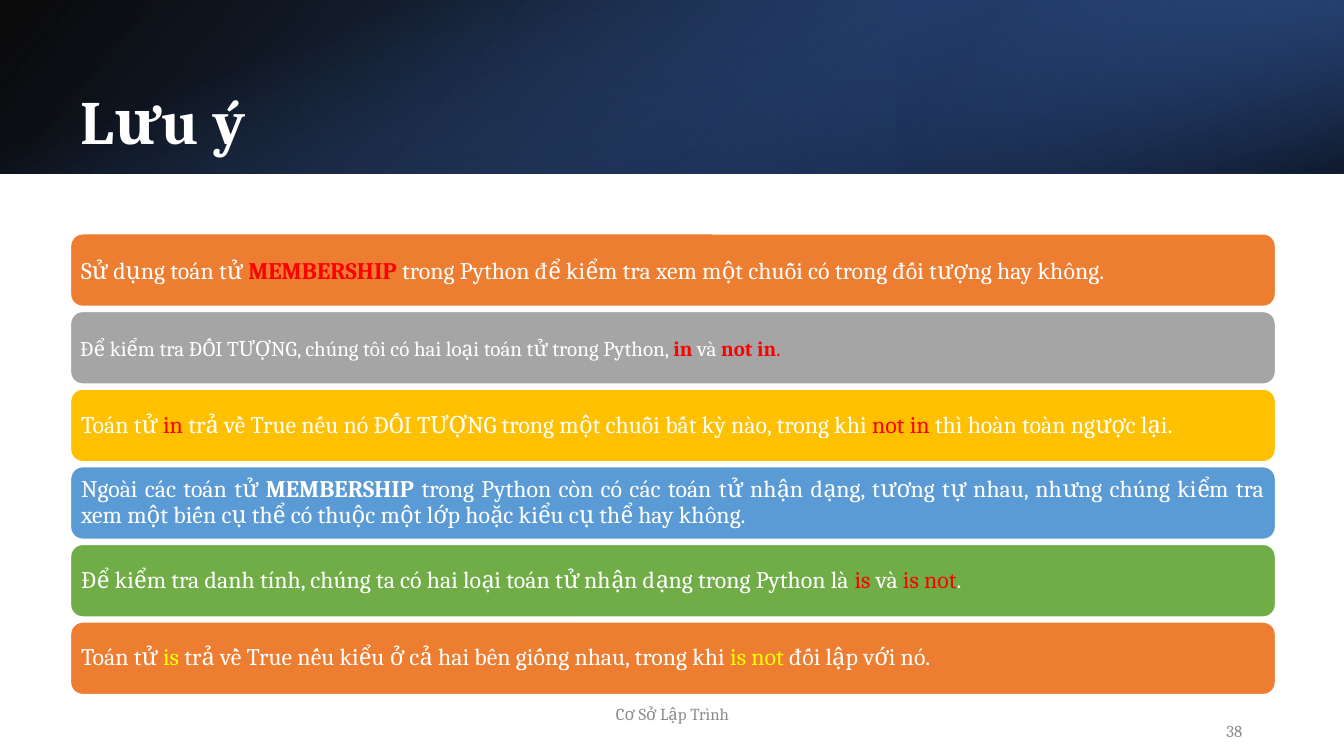
from dataclasses import dataclass
from typing import Any, NamedTuple

from lxml import etree
from pptx import Presentation
from pptx import util as u
from pptx.dml.color import RGBColor
from pptx.enum import shapes, text
from pptx.oxml import parse_xml
from pptx.oxml.ns import nsdecls, qn

WHITE = RGBColor(0xFF, 0xFF, 0xFF)
BLACK = RGBColor(0, 0, 0)
RED = RGBColor(0xFF, 0, 0)
LEMON = RGBColor(0xFF, 0xFF, 0)
MUTED = RGBColor(0x8C, 0x8C, 0x8C)
ORANGE = RGBColor(0xED, 0x7D, 0x31)
GRAY = RGBColor(0xA5, 0xA5, 0xA5)
GOLD = RGBColor(0xFF, 0xC0, 0)
SKY = RGBColor(0x5B, 0x9B, 0xD5)
GREEN = RGBColor(0x70, 0xAD, 0x47)
BLUE = RGBColor(0x44, 0x72, 0xC4)
NAVY = RGBColor(0x20, 0x38, 0x64)
STEEL = RGBColor(0x2F, 0x55, 0x97)

FONT = "Cambria"
WIDE, HIGH = u.Inches(13.33), u.Inches(7.5)

# Shares of the slide, in percent
LEFT, SPAN = 5.25, 89.65
TOP, STEP, TALL = 30.93, 10.27, 9.6
HEAD = 22.93


class Run(NamedTuple):
    words: str
    color: RGBColor = WHITE
    bold: bool = False


class Stop(NamedTuple):
    pos: int
    color: RGBColor
    alpha: int


@dataclass
class Band:
    left: float
    width: float
    stops: list[Stop]
    angle: int
    turn: int = 0
    flip: bool = False


@dataclass
class Card:
    fill: RGBColor
    runs: list[Run]
    size: int = 17
    inset: float = 0.07
    lines: float = 0.9


BANDS = [
    Band(0, 100, [Stop(0, BLACK, 96), Stop(100, STEEL, 100)], 140, flip=True),
    Band(66.67, 33.33, [Stop(19, NAVY, 68), Stop(100, BLUE, 79)], 320, 180, True),
    Band(0, 100, [Stop(23, BLUE, 0), Stop(99, BLACK, 74)], 340, 90),
]

CARDS = [
    Card(ORANGE, [
        Run("Sử dụng toán tử "), Run("MEMBERSHIP", RED, True),
        Run(" trong Python để kiểm tra xem một chuỗi có trong đối tượng hay không."),
    ], lines=1.0),
    Card(GRAY, [
        Run("Để kiểm tra ĐỐI TƯỢNG, chúng tôi có hai loại toán tử trong Python, "),
        Run("in", RED, True), Run(" và "), Run("not in", RED, True), Run(".", RED),
    ], size=15, inset=0.06, lines=1.0),
    Card(GOLD, [
        Run("Toán tử "), Run("in ", RED),
        Run("trả về True nếu nó ĐỐI TƯỢNG trong một chuỗi bất kỳ nào, trong khi "),
        Run("not in ", RED), Run("thì hoàn toàn ngược lại."),
    ]),
    Card(SKY, [
        Run("Ngoài các toán tử "), Run("MEMBERSHIP", bold=True),
        Run(" trong Python còn có các toán tử nhận dạng, tương tự nhau, nhưng chúng "
            "kiểm tra xem một biến cụ thể có thuộc một lớp hoặc kiểu cụ thể hay không."),
    ]),
    Card(GREEN, [
        Run("Để kiểm tra danh tính, chúng ta có hai loại toán tử nhận dạng trong Python là "),
        Run("is", RED), Run(" và "), Run("is not", RED), Run("."),
    ]),
    Card(ORANGE, [
        Run("Toán tử "), Run("is", LEMON),
        Run(" trả về True nếu kiểu ở cả hai bên giống nhau, trong khi "),
        Run("is not ", LEMON), Run("đối lập với nó."),
    ]),
]


def place(x: float, y: float, w: float, h: float) -> tuple[int, int, int, int]:
    """Turn percent shares into slide lengths."""
    return (round(WIDE * x / 100), round(HIGH * y / 100),
            round(WIDE * w / 100), round(HIGH * h / 100))


def write(shape: Any, runs: list[Run], *, size: int, align: Any,
          anchor: Any = text.MSO_ANCHOR.MIDDLE, lines: float = 1.0,
          inset: float | None = None) -> None:
    frame = shape.text_frame
    frame.word_wrap = True
    frame.vertical_anchor = anchor
    if inset is not None:
        frame.margin_left = frame.margin_right = u.Inches(inset)
        frame.margin_top = frame.margin_bottom = u.Inches(inset)
    para = frame.paragraphs[0]
    para.alignment, para.line_spacing = align, lines
    for item in runs:
        run = para.add_run()
        run.text = item.words
        font = run.font
        font.name, font.size, font.bold = FONT, u.Pt(size), item.bold
        font.color.rgb = item.color


def shade(shape: Any, stops: list[Stop], angle: int) -> None:
    """Fill a shape with a gradient that has see-through stops."""
    grad = parse_xml(f'<a:gradFill {nsdecls("a")} rotWithShape="1"><a:gsLst/>'
                     f'<a:lin ang="{angle * 60000}" scaled="0"/></a:gradFill>')
    for stop in stops:
        mark = etree.SubElement(grad[0], qn("a:gs"), pos=str(stop.pos * 1000))
        tint = etree.SubElement(mark, qn("a:srgbClr"), val=str(stop.color))
        etree.SubElement(tint, qn("a:alpha"), val=str(stop.alpha * 1000))
    shape.fill.background()
    props = shape._element.spPr
    props.replace(props.find(qn("a:noFill")), grad)


def draw_band(slide: Any, band: Band) -> None:
    x, y, w, h = place(band.left, 0, band.width, HEAD)
    if band.turn == 90:
        x, y, w, h = x + (w - h) // 2, y + (h - w) // 2, h, w
    shape = slide.shapes.add_shape(shapes.MSO_SHAPE.RECTANGLE, x, y, w, h)
    shape.shadow.inherit = False
    shape.line.fill.background()
    shape.rotation = band.turn
    if band.flip:
        shape._element.spPr.xfrm.set("flipH", "1")
    shade(shape, band.stops, band.angle)


def draw_card(slide: Any, card: Card, row: int) -> None:
    shape = slide.shapes.add_shape(shapes.MSO_SHAPE.ROUNDED_RECTANGLE,
                                   *place(LEFT, TOP + row * STEP, SPAN, TALL))
    shape.shadow.inherit = False
    shape.fill.solid()
    shape.fill.fore_color.rgb = card.fill
    shape.line.color.rgb = WHITE
    shape.line.width = u.Pt(1)
    write(shape, card.runs, size=card.size, align=text.PP_ALIGN.JUSTIFY,
          lines=card.lines, inset=card.inset)


def main() -> None:
    deck = Presentation()
    deck.slide_width, deck.slide_height = WIDE, HIGH
    slide = deck.slides.add_slide(deck.slide_layouts[5])

    # Header
    for band in BANDS:
        draw_band(slide, band)

    # Title, raised above the header bands
    title = slide.shapes.title
    title.left, title.top, title.width, title.height = place(LEFT, 11.47, 49.96, HEAD - 12.66)
    write(title, [Run("Lưu ý", bold=True)], size=44, align=text.PP_ALIGN.LEFT,
          anchor=text.MSO_ANCHOR.TOP, lines=0.9)
    title.text_frame.auto_size = text.MSO_AUTO_SIZE.SHAPE_TO_FIT_TEXT
    slide.shapes._spTree.append(title._element)

    # Notes
    for row, card in enumerate(CARDS):
        draw_card(slide, card, row)

    # Footer and page number
    foot = slide.shapes.add_textbox(*place(33.16, 91.73, 33.76, 5.33))
    write(foot, [Run("Cơ Sở Lập Trình", MUTED)], size=12, align=text.PP_ALIGN.CENTER)
    page = slide.shapes.add_textbox(*place(70.67, 94, 22.5, 5.33))
    write(page, [Run("38", MUTED)], size=12, align=text.PP_ALIGN.RIGHT)

    deck.save("out.pptx")


if __name__ == "__main__":
    main()
